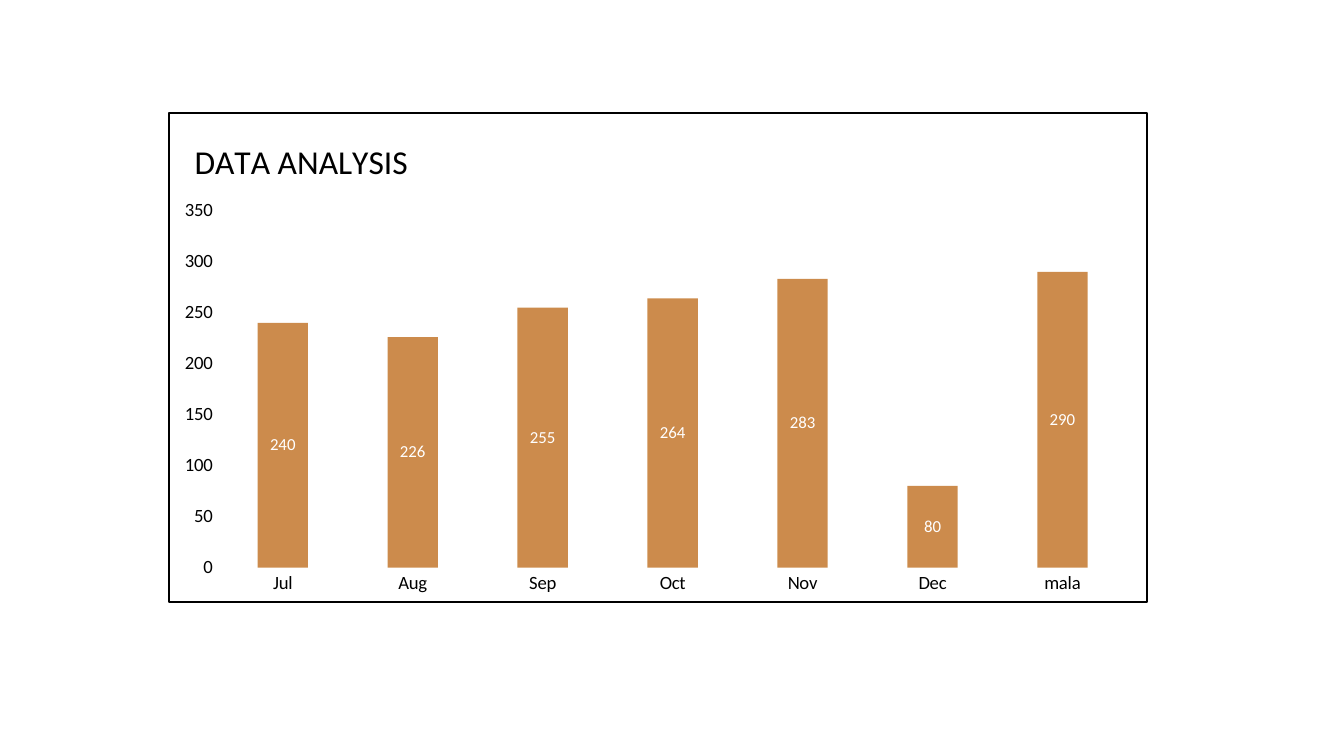
"""Build a slide with one framed column chart of monthly values."""
from lxml.etree import SubElement as Sub
from pptx import Presentation as Deck
from pptx.chart.data import CategoryChartData as Data
from pptx.dml.color import RGBColor as Rgb
from pptx.enum.chart import XL_CHART_TYPE as Kind
from pptx.enum.chart import XL_LABEL_POSITION as Spot
from pptx.enum.chart import XL_TICK_MARK as Tick
from pptx.oxml import parse_xml as to_xml
from pptx.oxml.ns import nsdecls as decls, qn
from pptx.util import Pt

FACE = "Calibri"
BLACK, WHITE, BROWN = "000000", "FFFFFF", "BA610A"
MONTHS = ["Jul", "Aug", "Sep", "Oct", "Nov", "Dec", "mala"]
VALUES = [240, 226, 255, 264, 283, 80, 290]


def tint(hue):
    return Rgb.from_string(hue)


def style(font, size, hue):
    font.name, font.size, font.bold = FACE, Pt(size), False
    font.color.rgb = tint(hue)


def write(frame, text, size=18, hue=BLACK):
    run = frame.paragraphs[0].add_run()
    run.text = text
    style(run.font, size, hue)


def place(node, index, inner=False, **parts):
    for old in node.findall(qn("c:layout")):
        node.remove(old)
    lay = to_xml(f"<c:layout {decls('c')}><c:manualLayout/></c:layout>")
    if inner:
        Sub(lay[0], qn("c:layoutTarget"), val="inner")
    for axis in "xy":
        Sub(lay[0], qn(f"c:{axis}Mode"), val="edge")
    for name, part in parts.items():
        Sub(lay[0], qn(f"c:{name}"), val=str(part))
    node.insert(index, lay)


def frame(chart, hue, width):
    box = to_xml(
        f"<c:spPr {decls('c', 'a')}><a:noFill/><a:ln w='{Pt(width)}'>"
        f"<a:solidFill><a:srgbClr val='{hue}'/></a:solidFill></a:ln></c:spPr>")
    chart.element.find(qn("c:chart")).addnext(box)


def fade(fill, part):
    hue = fill._xPr.find(".//" + qn("a:srgbClr"))
    Sub(hue, qn("a:alpha"), val=str(part * 1000))


def bare(axis):
    axis.major_tick_mark = axis.minor_tick_mark = Tick.NONE
    axis.has_major_gridlines = False
    axis.format.line.fill.background()


def paint(plot):
    plot.gap_width = 158
    plot.vary_by_categories = False
    bars = plot.series[0]
    bars.format.fill.solid()
    bars.format.fill.fore_color.rgb = tint(BROWN)
    fade(bars.format.fill, 73)
    tags = bars.data_labels
    tags.show_value = True
    tags.position = Spot.CENTER
    style(tags.font, 9, WHITE)


def add_bars(slide):
    data = Data()
    data.categories = MONTHS
    data.add_series("Series 1", VALUES)
    chart = slide.shapes.add_chart(
        Kind.COLUMN_CLUSTERED, Pt(90), Pt(60), Pt(525), Pt(263), data).chart
    style(chart.font, 10, BLACK)
    chart.has_legend = False
    chart.has_title = True
    title = chart.chart_title
    write(title.text_frame, "DATA ANALYSIS")
    title.include_in_layout = False
    place(title._element, 1, x=0.02, y=0.04)
    area = chart.element.find(".//" + qn("c:plotArea"))
    place(area, 0, inner=True, x=0.05, y=0.2, w=0.93, h=0.73)
    for axis in (chart.category_axis, chart.value_axis):
        bare(axis)
    scale = chart.value_axis
    scale.minimum_scale, scale.maximum_scale, scale.major_unit = 0, 350, 50
    paint(chart.plots[0])
    frame(chart, BLACK, 1)


def main():
    deck = Deck()
    deck.slide_width, deck.slide_height = Pt(720), Pt(405)
    add_bars(deck.slides.add_slide(deck.slide_layouts[6]))
    deck.save("out.pptx")


if __name__ == "__main__":
    main()
